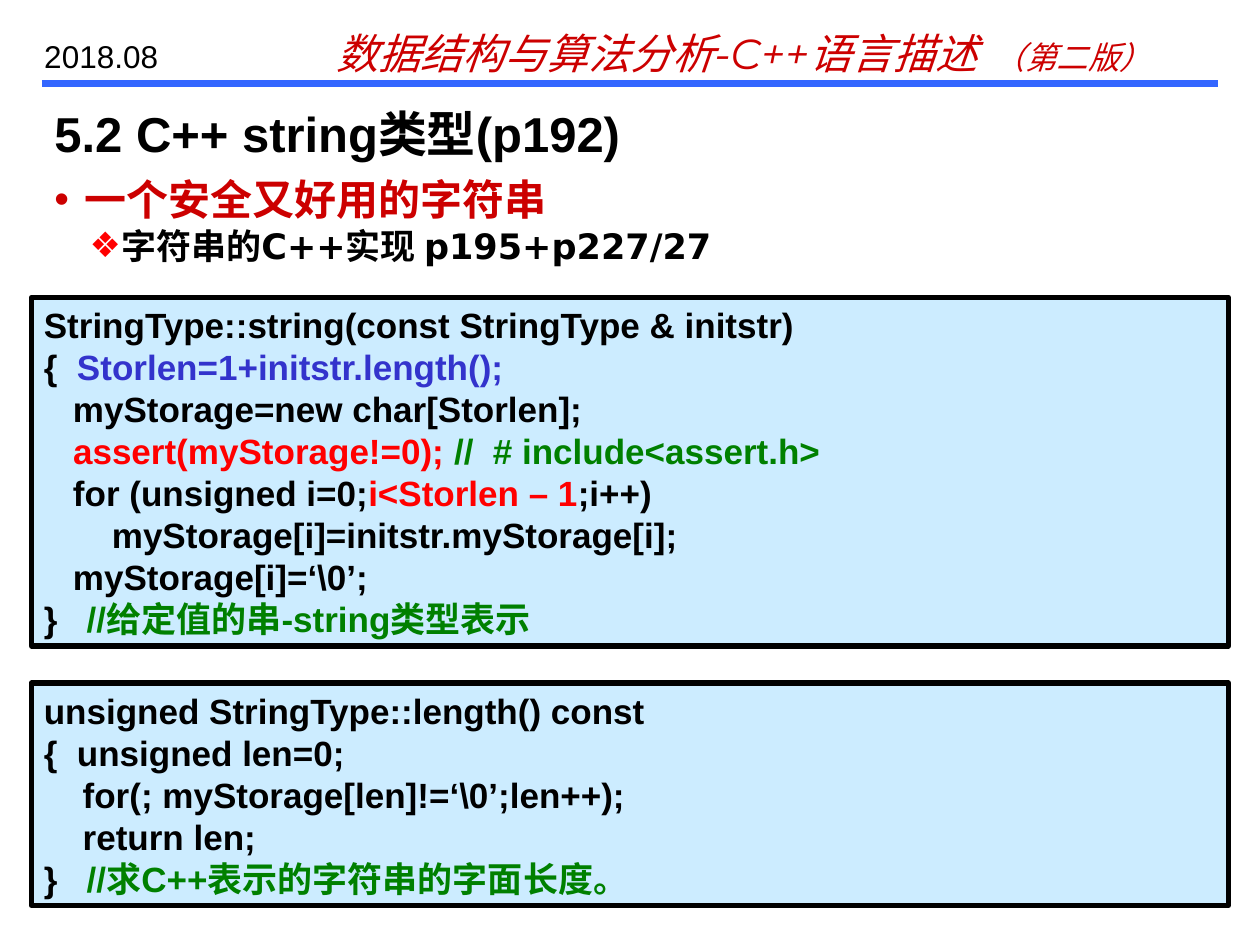
import pptx
import pptx.util
import pptx.dml.color
import pptx.enum.shapes
import pptx.enum.text
import pptx.oxml.ns
from lxml import etree

COLORS = {
    "ink": "000000", "rule": "3366FF", "title": "CC0000", "panel": "CCECFF",
    "alert": "FF0000", "member": "3333CC", "comment": "008000",
}
LEADING = 1.2  # line pitch as a multiple of the text size
W, H = 10, 7.5
Inches, Pt = pptx.util.Inches, pptx.util.Pt

COPY_CODE = [
    [("StringType::string(const StringType & initstr)", "ink")],
    [("{  ", "ink"), ("Storlen=1+initstr.length();", "member")],
    [("   myStorage=new char[Storlen];", "ink")],
    [("   ", "ink"), ("assert(myStorage!=0); ", "alert"),
     ("//  # include<assert.h>", "comment")],
    [("   for (unsigned i=0;", "ink"), ("i<Storlen – 1", "alert"), (";i++)", "ink")],
    [("       myStorage[i]=initstr.myStorage[i];", "ink")],
    [("   myStorage[i]=‘\\0’;", "ink")],
    [("}   ", "ink"), ("//给定值的串-string类型表示", "comment")],
]
LENGTH_CODE = [
    [("unsigned StringType::length() const", "ink")],
    [("{  unsigned len=0;", "ink")],
    [("    for(; myStorage[len]!=‘\\0’;len++);", "ink")],
    [("    return len;", "ink")],
    [("}   ", "ink"), ("//求C++表示的字符串的字面长度。", "comment")],
]


def rgb(name):
    return pptx.dml.color.RGBColor.from_string(COLORS[name])


def emu(box):
    return [Inches(v) for v in box]


def add_run(p, text, size, font, color, bold=False, italic=False):
    r = p.add_run()
    r.text = text
    r.font.size, r.font.name = Pt(size), font
    r.font.bold, r.font.italic = bold, italic
    r.font.color.rgb = rgb(color)


def start_paragraph(tf, index, size):
    p = tf.add_paragraph() if index else tf.paragraphs[0]
    p.alignment = pptx.enum.text.PP_ALIGN.LEFT
    p.line_spacing = Pt(size * LEADING)
    return p


def add_text(s, box):
    tf = s.shapes.add_textbox(*emu(box)).text_frame
    tf.word_wrap = True
    return tf


def set_bullet(p, char, color, left, hang):
    pPr = p._p.get_or_add_pPr()
    pPr.set("marL", str(Inches(left)))
    pPr.set("indent", str(-Inches(hang)))
    qn = pptx.oxml.ns.qn
    clr = etree.SubElement(pPr, qn("a:buClr"))
    etree.SubElement(clr, qn("a:srgbClr"), val=COLORS[color])
    etree.SubElement(pPr, qn("a:buFont"), typeface="Arial")
    etree.SubElement(pPr, qn("a:buChar"), char=char)


def add_header(s, box):
    x, y, w, h = box
    # Rule along the bottom of the header
    line = s.shapes.add_connector(pptx.enum.shapes.MSO_CONNECTOR.STRAIGHT,
                                  *emu((x, y + h, x + w, y + h)))
    line.line.color.rgb = rgb("rule")
    line.line.width = Pt(4)
    etree.SubElement(line._element.spPr, pptx.oxml.ns.qn("a:effectLst"))
    # Book title
    tf = add_text(s, (x + 0.24 * w, y, 0.75 * w, h))
    p = start_paragraph(tf, 0, 24)
    add_run(p, "数据结构与算法分析-C++语言描述 ", 24, "Montserrat", "title", italic=True)
    add_run(p, " （第二版）", 18, "Montserrat", "title", italic=True)
    # Date
    tf = add_text(s, (x - 0.08, y + 0.16 * h, 0.15 * w, 0.8 * h))
    add_run(start_paragraph(tf, 0, 18), "2018.08", 18, "Arial", "ink")


def add_heading(s, box):
    p = start_paragraph(add_text(s, box), 0, 28)
    add_run(p, "5.2 C++ string类型(p192)", 28, "Arial", "ink", bold=True)


def add_bullets(s, box):
    tf = add_text(s, box)
    hang = 0.24
    items = [("一个安全又好用的字符串", 24, "title", "•", "title"),
             ("字符串的C++实现 p195+p227/27", 20, "ink", "❖", "alert")]
    for level, (text, size, color, char, char_color) in enumerate(items):
        p = start_paragraph(tf, level, size)
        p.level = level
        set_bullet(p, char, char_color, hang + 0.28 * level, hang)
        add_run(p, text, size, "DejaVu Sans", color, bold=True)


def add_code_panel(s, box, lines):
    sp = s.shapes.add_shape(pptx.enum.shapes.MSO_SHAPE.RECTANGLE, *emu(box))
    sp.shadow.inherit = False
    sp.fill.solid()
    sp.fill.fore_color.rgb = rgb("panel")
    sp.line.color.rgb = rgb("ink")
    sp.line.width = Pt(3)
    tf = sp.text_frame
    tf.word_wrap = True
    tf.vertical_anchor = pptx.enum.text.MSO_ANCHOR.TOP
    for i, parts in enumerate(lines):
        p = start_paragraph(tf, i, 20)
        for text, color in parts:
            add_run(p, text, 20, "Arial", color, bold=True)


def main():
    prs = pptx.Presentation()
    prs.slide_width, prs.slide_height = Inches(W), Inches(H)
    s = prs.slides.add_slide(prs.slide_layouts[6])

    margin = W / 30
    add_header(s, (margin, H / 45, W - 2 * margin, H / 15))
    add_heading(s, (margin, 0.77, W - 2 * margin, 0.57))
    add_bullets(s, (margin, 1.33, W - margin, 0.84))

    # Code panels, each as tall as its lines
    inset = W / 40
    for top, lines in ((2.36, COPY_CODE), (5.42, LENGTH_CODE)):
        height = len(lines) * 20 * LEADING / 72 + 0.1
        add_code_panel(s, (inset, top, W - 2 * inset, height), lines)

    prs.save("out.pptx")


if __name__ == "__main__":
    main()
